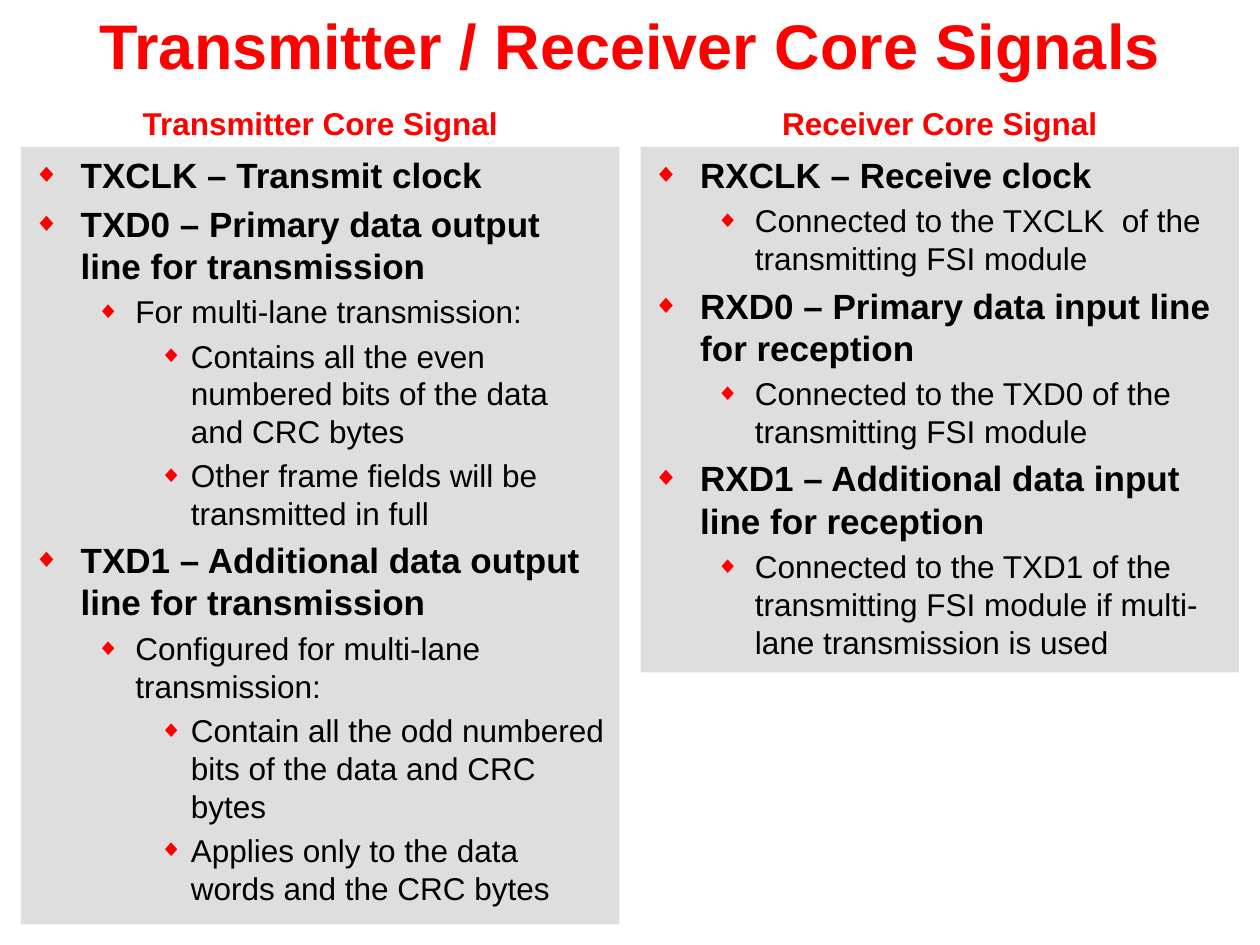
from lxml.etree import SubElement
from pptx import Presentation
from pptx.dml.color import RGBColor
from pptx.enum.shapes import MSO_SHAPE
from pptx.enum.text import MSO_ANCHOR as ANCHOR, PP_ALIGN as ALIGN
from pptx.oxml.ns import qn
from pptx.util import Inches, Pt

RED, BLACK, GREY = "FF0000", "000000", "DEDEDE"


def color(hex_text):
    return RGBColor.from_string(hex_text)


def add_text(paragraph, text, size, bold, hex_text):
    run = paragraph.add_run()
    run.text = text
    font = run.font
    font.name, font.size, font.bold = "Arial", Pt(size), bold
    font.color.rgb = color(hex_text)


deck = Presentation()
deck.slide_width, deck.slide_height = Inches(10), Inches(7.5)
slide = deck.slides.add_slide(deck.slide_layouts[6])

# Column grid, in inches: equal outer margins and gutter
gutter = 1 / 6
column_width = 4.75
column_step = column_width + gutter
heading_top, heading_height = 0.83, 0.34
panel_top = 7 * gutter

# Outline levels: left margin, hanging indent, size, bold
levels = [(0.375, 0.375, 20, True), (0.81, 0.31, 18, False), (1.25, 0.25, 18, False)]

# Each column: heading, panel height, (level, text) items
columns = [
    ("Transmitter Core Signal", 6.17, [
        (0, "TXCLK – Transmit clock"),
        (0, "TXD0 – Primary data output line for transmission"),
        (1, "For multi-lane transmission:"),
        (2, "Contains all the even numbered bits of the data and CRC bytes"),
        (2, "Other frame fields will be transmitted in full"),
        (0, "TXD1 – Additional data output line for transmission"),
        (1, "Configured for multi-lane transmission:"),
        (2, "Contain all the odd numbered bits of the data and CRC bytes"),
        (2, "Applies only to the data words and the CRC bytes"),
    ]),
    ("Receiver Core Signal", 4.17, [
        (0, "RXCLK – Receive clock"),
        (1, "Connected to the TXCLK  of the transmitting FSI module"),
        (0, "RXD0 – Primary data input line for reception"),
        (1, "Connected to the TXD0 of the transmitting FSI module"),
        (0, "RXD1 – Additional data input line for reception"),
        (1, "Connected to the TXD1 of the transmitting FSI module if multi-lane transmission is used"),
    ]),
]

# Title
title = slide.shapes.add_textbox(0, 0, deck.slide_width, Inches(0.81)).text_frame
title.word_wrap = True
title.vertical_anchor = ANCHOR.TOP
title.paragraphs[0].alignment = ALIGN.CENTER
add_text(title.paragraphs[0], "Transmitter / Receiver Core Signals", 36, True, RED)

for column, (heading_text, panel_height, items) in enumerate(columns):
    left = Inches(gutter + column * column_step)

    # Column heading
    heading = slide.shapes.add_textbox(
        left, Inches(heading_top), Inches(column_width), Inches(heading_height)).text_frame
    heading.word_wrap = True
    heading.vertical_anchor = ANCHOR.MIDDLE
    heading.paragraphs[0].alignment = ALIGN.CENTER
    heading.paragraphs[0].line_spacing = 0.8
    add_text(heading.paragraphs[0], heading_text, 18, True, RED)

    # Grey panel
    panel = slide.shapes.add_shape(
        MSO_SHAPE.RECTANGLE, left, Inches(panel_top), Inches(column_width), Inches(panel_height))
    panel.shadow.inherit = False
    panel.fill.solid()
    panel.fill.fore_color.rgb = color(GREY)
    panel.line.fill.background()
    outline = panel.text_frame
    outline.word_wrap = True
    outline.vertical_anchor = ANCHOR.TOP

    # Bulleted signals
    for index, (level, text) in enumerate(items):
        margin, hanging, size, bold = levels[level]
        item = outline.add_paragraph() if index else outline.paragraphs[0]
        item.level = level
        item.alignment = ALIGN.LEFT
        if index:
            item.space_before = Pt(size * 0.2)
        props = item._p.get_or_add_pPr()
        props.set("marL", str(Inches(margin)))
        props.set("indent", str(-Inches(hanging)))
        bullet_color = SubElement(props, qn("a:buClr"))
        SubElement(bullet_color, qn("a:srgbClr"), val=RED)
        SubElement(props, qn("a:buSzPct"), val="75000")
        SubElement(props, qn("a:buFont"), typeface="Arial")
        SubElement(props, qn("a:buChar"), char="◆")
        add_text(item, text, size, bold, BLACK)

deck.save("out.pptx")
